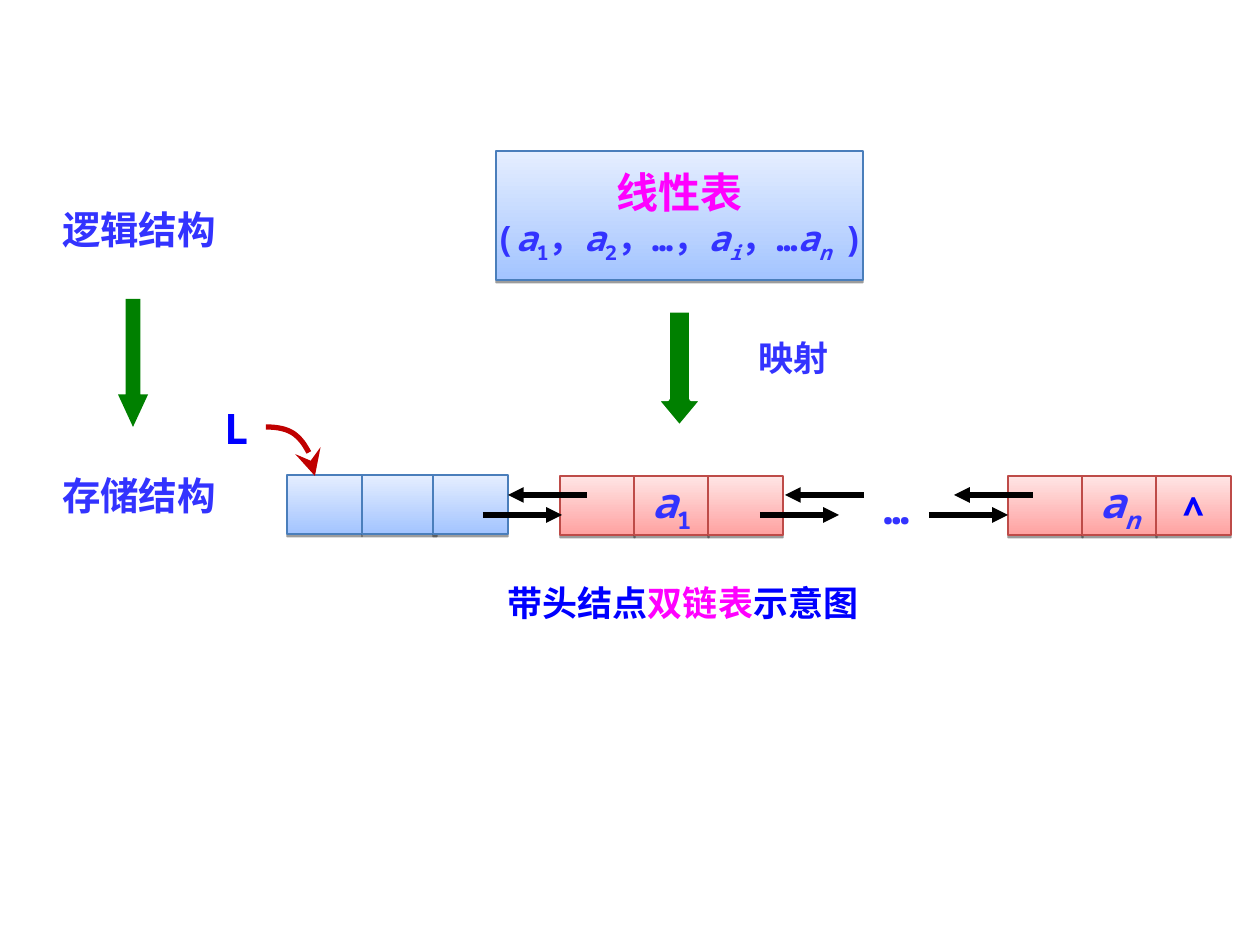
from lxml.etree import SubElement
from pptx import Presentation
from pptx.dml.color import RGBColor
from pptx.enum.shapes import MSO_CONNECTOR, MSO_SHAPE
from pptx.enum.text import MSO_ANCHOR, MSO_AUTO_SIZE, PP_ALIGN
from pptx.oxml.ns import qn
from pptx.util import Emu, Pt

FONT = "Noto Sans Mono"
BLUE, INDIGO, MAGENTA, GREEN = "0000FF", "3333FF", "FF00FF", "008000"
BLUE_STYLE = ("A3C4FF", "E5EEFF", "4A7EBB")
RED_STYLE = ("FFA2A1", "FFE5E5", "BE4B48")
ITALIC, SUB, ITALIC_SUB = {"italic": True}, {"sub": True}, {"italic": True, "sub": True}


def px(value):
    """Turn pixels into EMU."""
    return Emu(round(value * 914400 / 126))


def rgb(code):
    """Turn a hex string into a colour."""
    return RGBColor.from_string(code)


def add_run(paragraph, text, size=20, color=INDIGO, italic=False, sub=False):
    """Add one bold run with its format."""
    run = paragraph.add_run()
    run.text = text
    font = run.font
    font.name, font.size, font.bold, font.italic = FONT, Pt(size), True, italic
    font.color.rgb = rgb(color)
    properties = run.font._element if hasattr(run.font, "_element") else run._r.get_or_add_rPr()
    SubElement(properties, qn("a:ea")).set("typeface", FONT)
    if sub:
        properties.set("baseline", "-25000")


def write(frame, *lines, align=PP_ALIGN.CENTER, before=0, **style):
    """Fill a text frame with lines made of (text, format) runs."""
    for index, line in enumerate(lines):
        paragraph = frame.add_paragraph() if index else frame.paragraphs[0]
        paragraph.alignment = align
        paragraph.space_before = Pt(before)
        for text, changes in line:
            add_run(paragraph, text, **{**style, **changes})


def add_label(slide, left, top, width, height, *runs, size=20, **style):
    """Add a free-standing label."""
    label = slide.shapes.add_textbox(px(left), px(top), px(width), px(height))
    label.text_frame.word_wrap = True
    label.text_frame.auto_size = MSO_AUTO_SIZE.SHAPE_TO_FIT_TEXT
    write(label.text_frame, runs, size=size, before=size * 0.625, **style)


def add_box(slide, left, top, width, height, style, *lines, **text_style):
    """Add a gradient box with a soft drop shadow."""
    bottom_color, top_color, border = style
    box = slide.shapes.add_shape(MSO_SHAPE.RECTANGLE, px(left), px(top), px(width), px(height))
    box.fill.gradient()
    box.fill.gradient_angle = 90
    for stop, color, position in zip(box.fill.gradient_stops, (bottom_color, top_color), (0, 1)):
        stop.color.rgb = rgb(color)
        stop.position = position
    box.line.color.rgb = rgb(border)
    box.line.width = Pt(0.75)
    effects = SubElement(box._element.spPr, qn("a:effectLst"))
    shadow = SubElement(effects, qn("a:outerShdw"), dist=str(Pt(1.6)), dir="5400000", rotWithShape="0")
    black = SubElement(shadow, qn("a:srgbClr"), val="000000")
    SubElement(black, qn("a:alpha"), val="38000")
    box.text_frame.word_wrap = False
    box.text_frame.vertical_anchor = MSO_ANCHOR.MIDDLE
    write(box.text_frame, *lines, **text_style)


def add_node(slide, top, lefts, style, texts=((), (), ()), **last_style):
    """Add a list node of three cells."""
    for left, runs in zip(lefts, texts):
        add_box(slide, left, top, 75, 59, style, runs, size=24)


def add_down_arrow(slide, left, top, width, height, head, border=None):
    """Add a green block arrow pointing down."""
    arrow = slide.shapes.add_shape(MSO_SHAPE.DOWN_ARROW, px(left), px(top), px(width), px(height))
    arrow.shadow.inherit = False
    arrow.adjustments[1] = head
    arrow.fill.solid()
    arrow.fill.fore_color.rgb = rgb(GREEN)
    if border:
        arrow.line.color.rgb = rgb(border)
        arrow.line.width = Pt(3)
    else:
        arrow.line.fill.background()


def style_line(shape, color, end, kind, size="med"):
    """Give a line its colour, width and arrowhead."""
    shape.line.color.rgb = rgb(color)
    shape.line.width = Pt(3)
    SubElement(shape.line._get_or_add_ln(), qn(end), type=kind, w=size, len=size)


def add_links(slide, left):
    """Add the forward and backward pointers between two nodes."""
    for start, y, end in ((left, 515, "a:tailEnd"), (left + 25, 495, "a:headEnd")):
        link = slide.shapes.add_connector(
            MSO_CONNECTOR.STRAIGHT, px(start), px(y), px(start + 79), px(y))
        style_line(link, "000000", end, "triangle")
        SubElement(link._element.spPr, qn("a:effectLst"))


def add_head_pointer(slide, left, top, side):
    """Add the quarter-circle pointer to the head node."""
    builder = slide.shapes.build_freeform(px(left), px(top))
    builder.add_line_segments([(px(left + side), px(top + side))], close=False)
    pointer = builder.convert_to_shape()
    pointer.shadow.inherit = False
    pointer.fill.background()
    style_line(pointer, "C00000", "a:tailEnd", "stealth", "lg")
    segment = next(pointer._element.iter(qn("a:lnTo")))
    outline = segment.getparent()
    outline.remove(segment)
    curve = SubElement(outline, qn("a:cubicBezTo"))
    for x, y in ((0.55, 0), (1, 0.45), (1, 1)):
        SubElement(curve, qn("a:pt"), x=str(px(side * x)), y=str(px(side * y)))


def main():
    """Build the doubly linked list slide."""
    deck = Presentation()
    deck.slide_width, deck.slide_height = px(1260), px(945)
    slide = deck.slides.add_slide(deck.slide_layouts[6])

    title = [("线性表", {"size": 24, "color": MAGENTA})]
    elements = [("(", {}), ("a", ITALIC), ("1", SUB), ("，", {}), ("a", ITALIC), ("2", SUB),
                ("，…，", {}), ("a", ITALIC), ("i", ITALIC_SUB), ("，…", {}),
                ("a", ITALIC), ("n ", ITALIC_SUB), (")", {})]
    add_box(slide, 496, 151, 367, 129, BLUE_STYLE, title, elements)
    add_down_arrow(slide, 655, 310, 49, 118, 0.6, border="FFFFFF")
    add_down_arrow(slide, 118, 299, 30, 128, 1.08)

    add_label(slide, 725, 330, 137, 55, ("映射", {}))
    for top, text in ((200, "逻辑结构"), (466, "存储结构")):
        add_label(slide, 20, top, 238, 59, (text, {}), size=22)

    add_node(slide, 475, (287, 362, 433), BLUE_STYLE)
    add_node(slide, 476, (560, 634, 708), RED_STYLE,
             ((), [("a", ITALIC), ("1", SUB)], ()))
    add_node(slide, 476, (1008, 1082, 1156), RED_STYLE,
             ((), [("a", ITALIC), ("n", ITALIC_SUB)], [("∧", {"size": 20, "color": BLUE})]))
    for left in (483, 760, 929):
        add_links(slide, left)

    add_label(slide, 857, 476, 79, 63, ("…", {}), size=24)
    add_head_pointer(slide, 266, 427, 49)
    add_label(slide, 212, 396, 59, 63, ("L", {}), size=24, color=BLUE, align=PP_ALIGN.LEFT)
    add_label(slide, 452, 575, 462, 55, ("带头结点", {}), ("双链表", {"color": MAGENTA}),
              ("示意图", {}), color=BLUE)
    deck.save("out.pptx")


if __name__ == "__main__":
    main()
